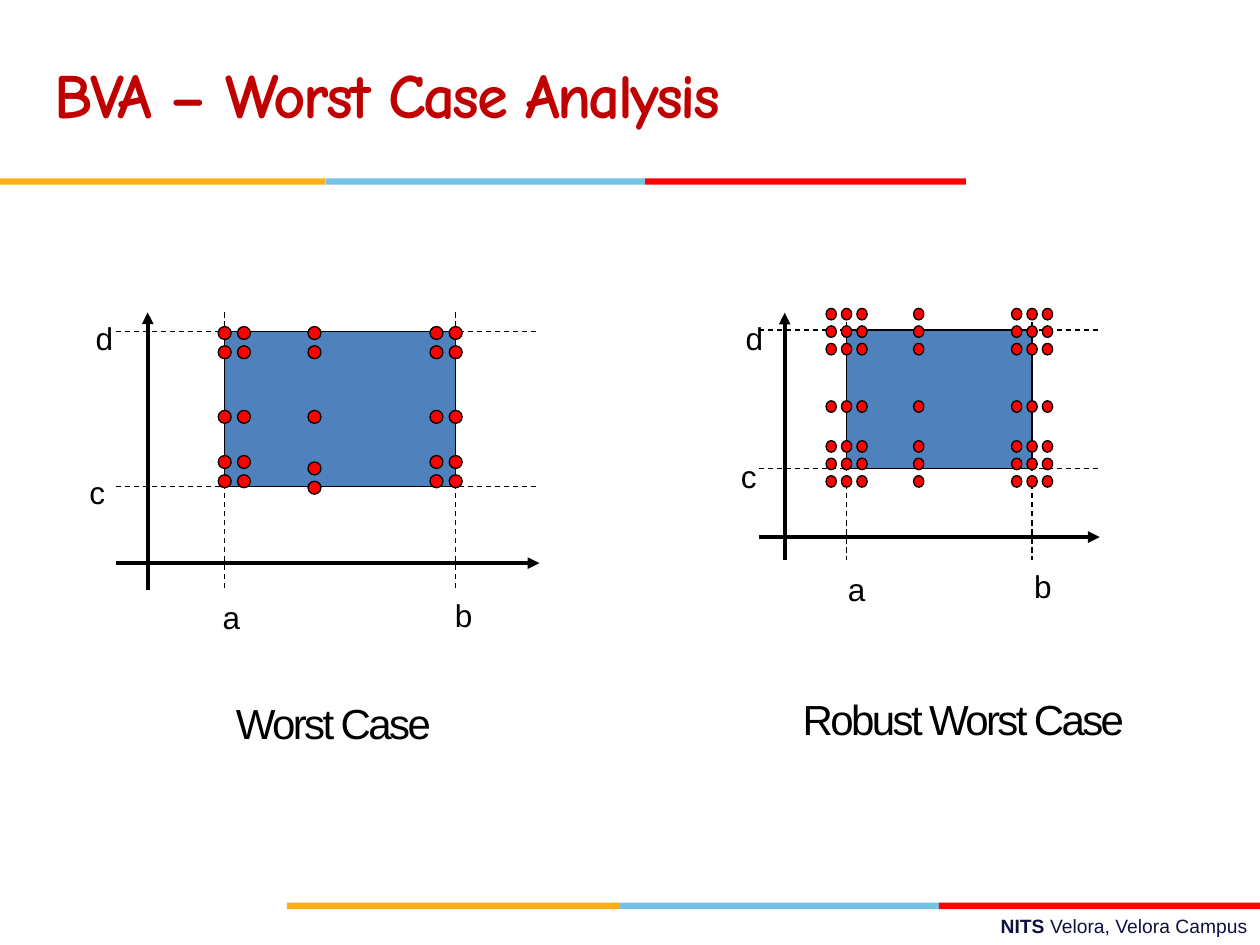
import dataclasses
import itertools

import pptx
import pptx.dml.color
import pptx.enum.dml
import pptx.enum.shapes
import pptx.enum.text
import pptx.oxml
import pptx.oxml.ns
import pptx.util

Pt = pptx.util.Pt
ALIGN = pptx.enum.text.PP_ALIGN
SHAPE = pptx.enum.shapes.MSO_SHAPE


@dataclasses.dataclass(frozen=True)
class Theme:
    body_font: str = "Arial"
    title_font: str = "Comic Neue"
    title: str = "C00000"
    ink: str = "000000"
    footer: str = "101141"
    region: str = "4F81BD"
    dot: str = "FF0000"
    stripes: tuple = ("FCB017", "76C2E5", "FF0000")
    title_size: float = 36
    caption_size: float = 24
    label_size: float = 18
    footer_size: float = 11
    thin: float = 0.75
    thick: float = 2.25


@dataclasses.dataclass(frozen=True)
class Plot:
    caption: str
    caption_box: tuple
    region: tuple
    x_axis: tuple
    y_axis: tuple
    labels: dict
    low_offsets: tuple
    dot_size: tuple
    dot_step: tuple
    dot_rows: tuple
    nominal: tuple
    nominal_drop: float = 0


class SlideBuilder:
    """Draws styled elements on the current slide."""

    def __init__(self, slide, theme):
        self.slide = slide
        self.theme = theme

    def color(self, value):
        return pptx.dml.color.RGBColor.from_string(value)

    def style(self, paragraph, size, color, font=None, align=ALIGN.LEFT):
        paragraph.alignment = align
        paragraph.font.name = font or self.theme.body_font
        paragraph.font.size = Pt(size)
        paragraph.font.color.rgb = self.color(color)

    def tighten(self, paragraph):
        paragraph.line_spacing = Pt(36)
        for run in paragraph.runs:
            run._r.get_or_add_rPr().set("spc", "-150")

    def place(self, shape, box):
        shape.left, shape.top, shape.width, shape.height = map(Pt, box)

    def title(self, text, box):
        heading = self.slide.shapes.title
        self.place(heading, box)
        frame = heading.text_frame
        frame.text = text
        frame.word_wrap = True
        frame.auto_size = pptx.enum.text.MSO_AUTO_SIZE.NONE
        frame.vertical_anchor = pptx.enum.text.MSO_ANCHOR.MIDDLE
        paragraph = frame.paragraphs[0]
        self.style(paragraph, self.theme.title_size, self.theme.title, self.theme.title_font)
        paragraph.font.bold = True
        self.tighten(paragraph)

    def text_frame(self, box, wrap=True):
        frame = self.slide.shapes.add_textbox(*map(Pt, box)).text_frame
        frame.word_wrap = wrap
        return frame

    def caption(self, text, box):
        frame = self.text_frame(box)
        frame.text = text
        frame.vertical_anchor = pptx.enum.text.MSO_ANCHOR.MIDDLE
        paragraph = frame.paragraphs[0]
        self.style(paragraph, self.theme.caption_size, self.theme.ink, align=ALIGN.CENTER)
        self.tighten(paragraph)

    def label(self, text, left, top):
        frame = self.text_frame((left, top, 15, 18), wrap=False)
        frame.auto_size = pptx.enum.text.MSO_AUTO_SIZE.SHAPE_TO_FIT_TEXT
        frame.text = text
        self.style(frame.paragraphs[0], self.theme.label_size, self.theme.ink)

    def footer(self, bold_text, plain_text, box):
        paragraph = self.text_frame(box).paragraphs[0]
        self.style(paragraph, self.theme.footer_size, self.theme.footer, align=ALIGN.RIGHT)
        for text, bold in ((bold_text, True), (plain_text, False)):
            run = paragraph.add_run()
            run.text = text
            run.font.bold = bold

    def shape(self, kind, box, fill, outlined=True):
        shape = self.slide.shapes.add_shape(kind, *map(Pt, box))
        shape.shadow.inherit = False
        shape.fill.solid()
        shape.fill.fore_color.rgb = self.color(fill)
        if outlined:
            shape.line.color.rgb = self.color(self.theme.ink)
            shape.line.width = Pt(self.theme.thin)
        else:
            shape.line.fill.background()

    def stripes(self, edges, top, height):
        for (left, right), fill in zip(itertools.pairwise(edges), self.theme.stripes):
            self.shape(SHAPE.RECTANGLE, (left, top, right - left, height), fill, outlined=False)

    def line(self, start, end, arrow=None):
        line = self.slide.shapes.add_connector(
            pptx.enum.shapes.MSO_CONNECTOR.STRAIGHT, *map(Pt, (*start, *end)))
        line.line.color.rgb = self.color(self.theme.ink)
        line.line.width = Pt(self.theme.thick if arrow else self.theme.thin)
        properties = line._element.spPr
        if arrow:
            arrowhead = pptx.oxml.parse_xml(f'<a:{arrow} {pptx.oxml.ns.nsdecls("a")} type="triangle"/>')
            line.line._get_or_add_ln().append(arrowhead)
        else:
            line.line.dash_style = pptx.enum.dml.MSO_LINE.DASH
        properties.append(pptx.oxml.parse_xml(f'<a:effectLst {pptx.oxml.ns.nsdecls("a")}/>'))

    def dots(self, plot):
        left, _, width, _ = plot.region
        step_x, step_y = plot.dot_step
        first_row, last_row = plot.dot_rows
        nominal_x, nominal_y = plot.nominal
        low = plot.low_offsets
        high = [-k for k in reversed(low)]
        columns = [left + k * step_x for k in low] + [nominal_x]
        columns += [left + width + k * step_x for k in high]
        rows = [first_row + k * step_y for k in low] + [nominal_y]
        rows += [last_row + k * step_y for k in high]
        dot_width, dot_height = plot.dot_size
        for x, y in itertools.product(columns, rows):
            if x == nominal_x and y > nominal_y:
                y += plot.nominal_drop
            box = (x - dot_width / 2, y - dot_height / 2, dot_width, dot_height)
            self.shape(SHAPE.OVAL, box, self.theme.dot)

    def plot(self, plot):
        left, top, width, height = plot.region
        axis_left, axis_right, axis_y = plot.x_axis
        axis_top, axis_bottom, axis_x = plot.y_axis
        self.shape(SHAPE.RECTANGLE, plot.region, self.theme.region)
        self.line((axis_x, axis_top), (axis_x, axis_bottom), "headEnd")
        self.line((axis_left, axis_y), (axis_right, axis_y), "tailEnd")
        for x in (left, left + width):
            self.line((x, axis_top), (x, axis_bottom))
        for y in (top + height, top):
            self.line((axis_left, y), (axis_right, y))
        for text, position in plot.labels.items():
            self.label(text, *position)
        self.dots(plot)
        self.caption(plot.caption, plot.caption_box)


WORST_CASE = Plot(
    caption="Worst Case", caption_box=(73.5, 387.5, 234, 44),
    region=(128.4, 189.4, 132, 88.5),
    x_axis=(66.2, 308.2, 321.8), y_axis=(178.5, 337, 84.4),
    labels={"a": (120.2, 338.4), "b": (252.9, 337), "c": (44, 266.6), "d": (47.5, 178.5)},
    low_offsets=(0, 1), dot_size=(7.4, 7.4), dot_step=(11, 11),
    dot_rows=(190.3, 275), nominal=(179.7, 238.2), nominal_drop=3.7)

ROBUST_WORST_CASE = Plot(
    caption="Robust Worst Case", caption_box=(433.5, 385, 234, 44),
    region=(483.8, 188.6, 106, 79),
    x_axis=(433.6, 628.4, 306.9), y_axis=(178.7, 320.2, 448.4),
    labels={"a": (477.4, 322), "b": (583.9, 320.4), "c": (416.2, 257.8), "d": (419, 178.7)},
    low_offsets=(-1, 0, 1), dot_size=(5.9, 6.6), dot_step=(8.8, 10),
    dot_rows=(189.5, 265.1), nominal=(525, 232.3))


def main():
    presentation = pptx.Presentation()
    presentation.slide_width, presentation.slide_height = Pt(720), Pt(540)
    slide = presentation.slides.add_slide(presentation.slide_layouts[5])
    builder = SlideBuilder(slide, Theme())
    builder.footer("NITS ", "Velora, Velora Campus", (258, 519, 462, 21))
    builder.stripes((164, 354.2, 536.5, 720), 515.8, 3.8)
    builder.stripes((0, 186, 368.7, 552), 102, 3.6)
    builder.title("BVA – Worst Case Analysis", (24, 12, 498, 90))
    for plot in (WORST_CASE, ROBUST_WORST_CASE):
        builder.plot(plot)
    presentation.save("out.pptx")


if __name__ == "__main__":
    main()
